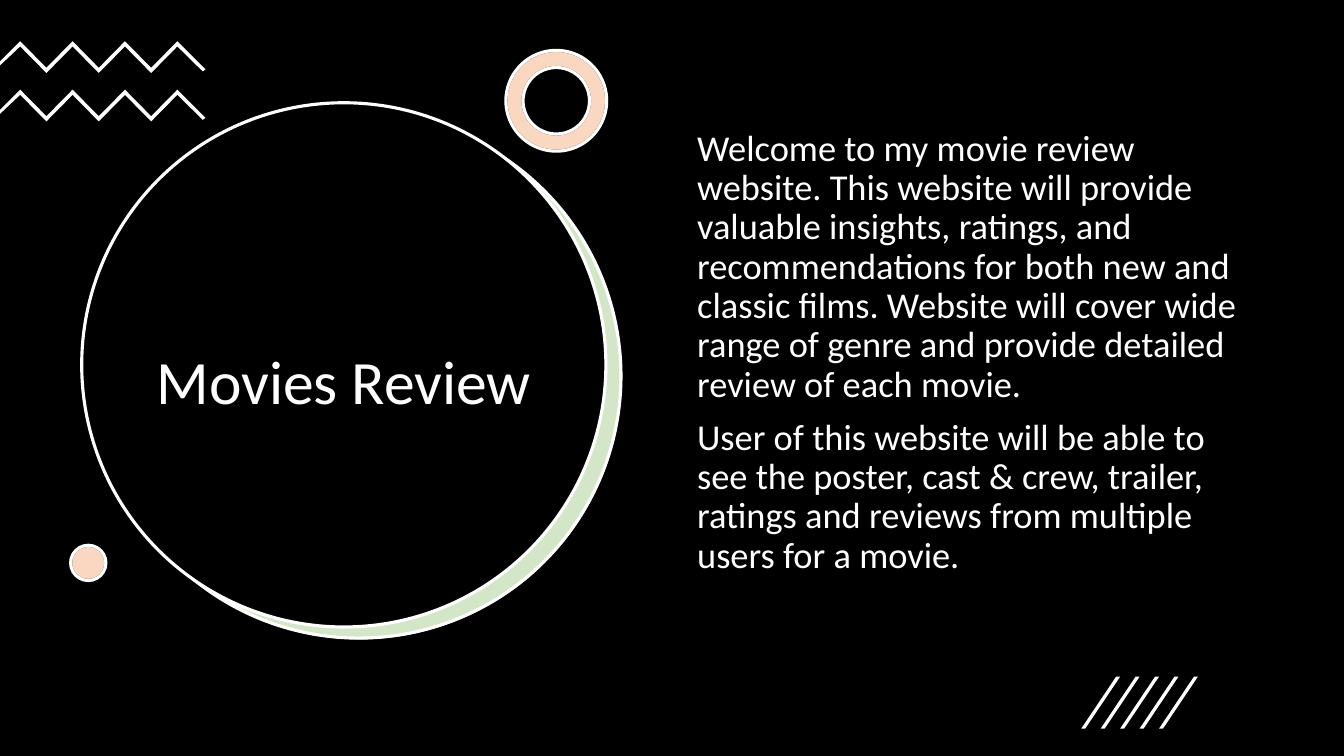
import pptx
import pptx.util
import pptx.dml.color
import pptx.enum.shapes
import pptx.enum.text
import pptx.oxml.ns
import lxml.etree
from dataclasses import dataclass

Cm = pptx.util.Cm
Pt = pptx.util.Pt
Kind = pptx.enum.shapes.MSO_SHAPE
Align = pptx.enum.text.PP_ALIGN
Anchor = pptx.enum.text.MSO_ANCHOR


@dataclass(frozen=True)
class Theme:
    dark: str = "000000"
    light: str = "FFFFFF"
    green: str = "70AD47"
    orange: str = "ED7D31"
    font: str = "Calibri"
    title: int = 44
    body: int = 26
    line: float = 2.25
    tint: int = 30


THEME = Theme()
WIDE, HIGH = 33.87, 19.05
INTRO = (
    "Welcome to my movie review website. This website will provide valuable "
    "insights, ratings, and recommendations for both new and classic films. "
    "Website will cover wide range of genre and provide detailed review of "
    "each movie."
)
USERS = (
    "User of this website will be able to see the poster, cast & crew, "
    "trailer, ratings and reviews from multiple users for a movie."
)


def color(code):
    return pptx.dml.color.RGBColor.from_string(code)


def paint(shape, fill, line=None, tint=None):
    shape.shadow.inherit = False
    shape.fill.solid()
    shape.fill.fore_color.rgb = color(fill)
    if tint:
        name = pptx.oxml.ns.qn
        node = shape._element.spPr.find(name("a:solidFill"))[0]
        lxml.etree.SubElement(node, name("a:alpha"), val=str(tint * 1000))
    if line:
        shape.line.color.rgb = color(line)
        shape.line.width = Pt(THEME.line)
    else:
        shape.line.fill.background()


def add_shape(slide, kind, box, fill, line=None, tint=None):
    shape = slide.shapes.add_shape(kind, *map(Cm, box))
    if kind == Kind.DONUT:
        shape.adjustments[0] = 0.17
    paint(shape, fill, line, tint)


def add_badge(slide, kind, box):
    add_shape(slide, kind, box, THEME.light, THEME.dark)
    add_shape(slide, kind, box, THEME.orange, THEME.light, THEME.tint)


def add_path(slide, left, top, points):
    spots = [(Cm(left + x), Cm(top + y)) for x, y in points]
    path = slide.shapes.build_freeform(*spots[0])
    path.add_line_segments(spots[1:], close=True)
    paint(path.convert_to_shape(), THEME.light)


def add_zigzag(slide, top):
    edge = [(0.51 + 0.66 * i, 0.67 * (i % 2)) for i in range(7)]
    under = [(x, y + 0.13) for x, y in reversed(edge)]
    tip = [(5.18, 0.71), (5.11, 0.76)]
    add_path(slide, 0, top, edge + tip + under + [(0, 0.61), (0, 0.51)])


def add_slash(slide, left):
    add_path(slide, left, 17.05, [(0.1, 1.31), (0, 1.31), (0.88, 0), (0.98, 0)])


def add_text(slide, box, texts, size, align, anchor, gap):
    frame = slide.shapes.add_textbox(*map(Cm, box)).text_frame
    frame.word_wrap = True
    frame.vertical_anchor = anchor
    for i, text in enumerate(texts):
        para = frame.add_paragraph() if i else frame.paragraphs[0]
        para.alignment = align
        para.line_spacing = 0.9
        para.space_before = Pt(gap)
        run = para.add_run()
        run.text = text
        run.font.name = THEME.font
        run.font.size = Pt(size)
        run.font.color.rgb = color(THEME.light)


def main():
    deck = pptx.Presentation()
    deck.slide_width, deck.slide_height = Cm(WIDE), Cm(HIGH)
    slide = deck.slides.add_slide(deck.slide_layouts[6])

    add_shape(slide, Kind.RECTANGLE, (0, 0, WIDE, HIGH), THEME.dark)
    disc = 13.21
    add_shape(slide, Kind.OVAL, (2.46, 2.9, disc, disc), THEME.light)
    add_shape(slide, Kind.OVAL, (2.44, 2.87, disc, disc),
              THEME.green, THEME.light, THEME.tint)
    add_shape(slide, Kind.OVAL, (2.06, 2.59, disc, disc),
              THEME.dark, THEME.light)
    add_text(slide, (3.07, 5.21, 11.2, 8.94), ["Movies Review"],
             THEME.title, Align.CENTER, Anchor.MIDDLE, 0)

    for top in (1.04, 2.26):
        add_zigzag(slide, top)
    add_badge(slide, Kind.DONUT, (12.75, 1.27, 2.54, 2.54))
    add_badge(slide, Kind.OVAL, (1.78, 13.74, 0.89, 0.89))

    add_text(slide, (17.32, 3.15, 14.5, 12.09), [INTRO, USERS],
             THEME.body, Align.LEFT, Anchor.TOP, 10)
    for i in range(5):
        add_slash(slide, 27.25 + 0.49 * i)

    deck.save("out.pptx")


if __name__ == "__main__":
    main()
